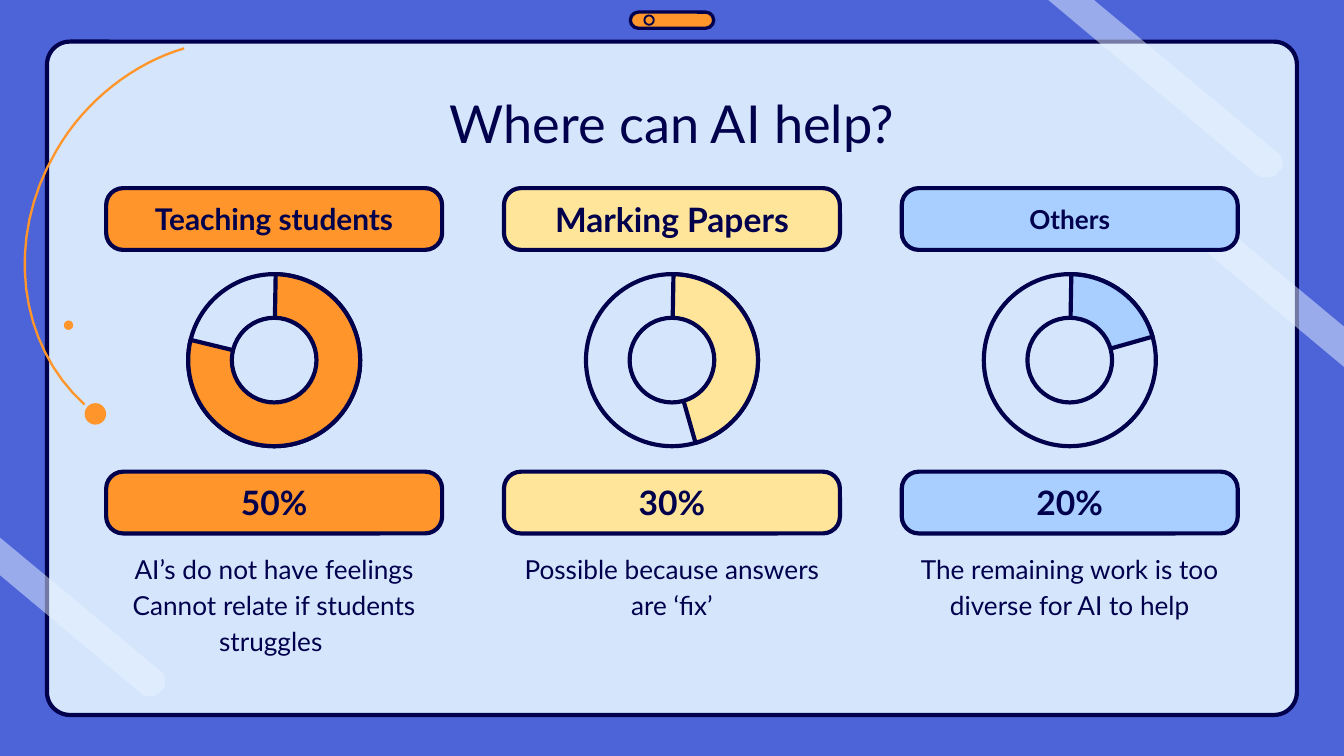
from lxml import etree
from pptx import Presentation
from pptx.dml.color import RGBColor
from pptx.enum.shapes import MSO_SHAPE as SHAPE
from pptx.enum.text import MSO_ANCHOR as ANCHOR, PP_ALIGN as ALIGN
from pptx.oxml.ns import qn
from pptx.util import Inches, Pt

FONT = "Lato"
COLORS = {
    "background": "4C64D8",
    "panel": "D5E6FC",
    "navy": "00004D",
    "orange": "FF952B",
    "yellow": "FFE599",
    "blue": "A8CFFF",
    "beam": "E9F3FF",
}

# Heading, heading size, share, pie end angle in degrees, colour, notes
TOPICS = [
    ("Teaching students", 16, "50%", 193.67, "orange",
     ["AI’s do not have feelings", "Cannot relate if students struggles "]),
    ("Marking Papers", 18, "30%", 74.07, "yellow",
     ["Possible because answers are ‘fix’"]),
    ("Others", 14, "20%", 344.13, "blue",
     ["The remaining work is too diverse for AI to help"]),
]
PIE_START = 271.02
LEFT, STEP, CARD_W, CARD_H = 0.79, 2.96, 2.5, 0.46
RING_Y, RING_D, HOLE_D = 2.68, 1.28, 0.63

# Outlines: a pair is a corner, a triple of pairs is a cubic curve
ARC = [(0.63, 3.01), ((0.14, 2.57), (0.03, 1.78), (0.42, 1.12)),
       ((0.64, 0.74), (1, 0.47), (1.37, 0.36))]
BEAMS = [
    [(7.8, 0), (9.35, 1.3), ((9.38, 1.32), (9.41, 1.32), (9.43, 1.32)),
     ((9.46, 1.32), (9.5, 1.31), (9.51, 1.28)),
     ((9.56, 1.25), (9.55, 1.17), (9.51, 1.14)), (8.14, 0)],
    [(1.11, 5.18), ((1.15, 5.18), (1.17, 5.17), (1.2, 5.14)),
     ((1.24, 5.11), (1.24, 5.03), (1.19, 4.99)), (0, 4), (0, 4.28),
     (1.04, 5.15), ((1.05, 5.17), (1.08, 5.18), (1.11, 5.18))],
    [(8.86, 1.51), ((8.82, 1.51), (8.79, 1.53), (8.76, 1.55)),
     ((8.72, 1.59), (8.72, 1.67), (8.78, 1.71)), (10, 2.73), (10, 2.43),
     (8.93, 1.54), ((8.91, 1.53), (8.89, 1.51), (8.86, 1.51))],
]


def rgb(name):
    return RGBColor.from_string(COLORS[name])


def style(sp, fill=None, line=None, width=2.25):
    sp.shadow.inherit = False
    if fill:
        sp.fill.solid()
        sp.fill.fore_color.rgb = rgb(fill)
    else:
        sp.fill.background()
    if line:
        sp.line.color.rgb = rgb(line)
        sp.line.width = Pt(width)
    else:
        sp.line.fill.background()


def add_shape(s, kind, x, y, w, h, fill=None, line="navy", width=2.25, adj=()):
    sp = s.shapes.add_shape(kind, Inches(x), Inches(y), Inches(w), Inches(h))
    style(sp, fill, line, width)
    for i, value in enumerate(adj):
        sp.adjustments[i] = value
    return sp


def add_circle(s, cx, cy, d, **look):
    return add_shape(s, SHAPE.OVAL, cx - d / 2, cy - d / 2, d, d, **look)


def flatten(outline, steps=16):
    """Turn corners and cubic curves into a list of points."""
    points = []
    for part in outline:
        if len(part) == 2:
            points.append(part)
            continue
        p0 = points[-1]
        p1, p2, p3 = part
        for i in range(1, steps + 1):
            t = i / steps
            u = 1 - t
            points.append(tuple(
                u**3 * a + 3 * u * u * t * b + 3 * u * t * t * c + t**3 * d
                for a, b, c, d in zip(p0, p1, p2, p3)))
    return points


def add_outline(s, outline, close, **look):
    points = [(Inches(x), Inches(y)) for x, y in flatten(outline)]
    builder = s.shapes.build_freeform(*points[0])
    builder.add_line_segments(points[1:], close=close)
    sp = builder.convert_to_shape()
    style(sp, **look)
    return sp


def set_text(sp, lines, size, bold=False, spacing=None, anchor=ANCHOR.TOP):
    tf = sp.text_frame
    tf.word_wrap = True
    tf.vertical_anchor = anchor
    tf.margin_left = tf.margin_right = Inches(0.1)
    tf.margin_top = tf.margin_bottom = Inches(0.1)
    for i, line in enumerate(lines):
        p = tf.add_paragraph() if i else tf.paragraphs[0]
        p.text = line
        p.alignment = ALIGN.CENTER
        if spacing:
            p.line_spacing = spacing
        p.font.name = FONT
        p.font.size = Pt(size)
        p.font.bold = bold
        p.font.color.rgb = rgb("navy")


def add_text(s, x, y, w, h, lines, size, **look):
    box = s.shapes.add_textbox(Inches(x), Inches(y), Inches(w), Inches(h))
    set_text(box, lines, size, **look)


def add_card(s, x, y, text, size, fill):
    sp = add_shape(s, SHAPE.ROUNDED_RECTANGLE, x, y, CARD_W, CARD_H, fill, adj=[0.275])
    set_text(sp, [text], size, bold=True, anchor=ANCHOR.MIDDLE)


def add_ring(s, cx, end, fill):
    add_circle(s, cx, RING_Y, RING_D)
    # Angles are stored in 60000ths of a degree, adjustments in 100000ths
    add_shape(s, SHAPE.PIE, cx - RING_D / 2, RING_Y - RING_D / 2, RING_D, RING_D,
              fill, adj=[PIE_START * 0.6, end * 0.6])
    add_circle(s, cx, RING_Y, HOLE_D, fill="panel")


def add_frame(s):
    # Panel and camera
    add_shape(s, SHAPE.ROUNDED_RECTANGLE, 0.35, 0.31, 9.3, 5.01, "panel", adj=[0.034])
    add_shape(s, SHAPE.ROUNDED_RECTANGLE, 4.69, 0.09, 0.62, 0.12, "orange",
              width=1.75, adj=[0.5])
    add_circle(s, 4.83, 0.15, 0.07, width=1)

    # Orbit
    add_outline(s, ARC, False, line="orange", width=1.25)
    add_circle(s, 0.51, 2.42, 0.07, fill="orange", line=None)
    add_circle(s, 0.71, 3.08, 0.16, fill="orange", line=None)

    # Half-transparent light beams
    for beam in BEAMS:
        sp = add_outline(s, beam, True, fill="beam")
        color = sp.element.spPr.find(qn("a:solidFill"))[0]
        etree.SubElement(color, qn("a:alpha"), val="50000")


def main():
    prs = Presentation()
    # Widescreen, 16:9
    prs.slide_width = Inches(10)
    prs.slide_height = Inches(10 * 9 / 16)
    s = prs.slides.add_slide(prs.slide_layouts[6])
    s.background.fill.solid()
    s.background.fill.fore_color.rgb = rgb("background")

    add_frame(s)
    add_text(s, 0.79, 0.58, 8.42, 0.63, ["Where can AI help?"], 28)

    # One column per topic
    for i, (heading, size, share, end, color, notes) in enumerate(TOPICS):
        x = LEFT + i * STEP
        add_ring(s, x + CARD_W / 2, end, color)
        add_text(s, x, 3.98, CARD_W, 0.9, notes, 14, spacing=1.15)
        add_card(s, x, 1.4, heading, size, color)
        add_card(s, x, 3.51, share, 18, color)

    prs.save("out.pptx")


if __name__ == "__main__":
    main()
